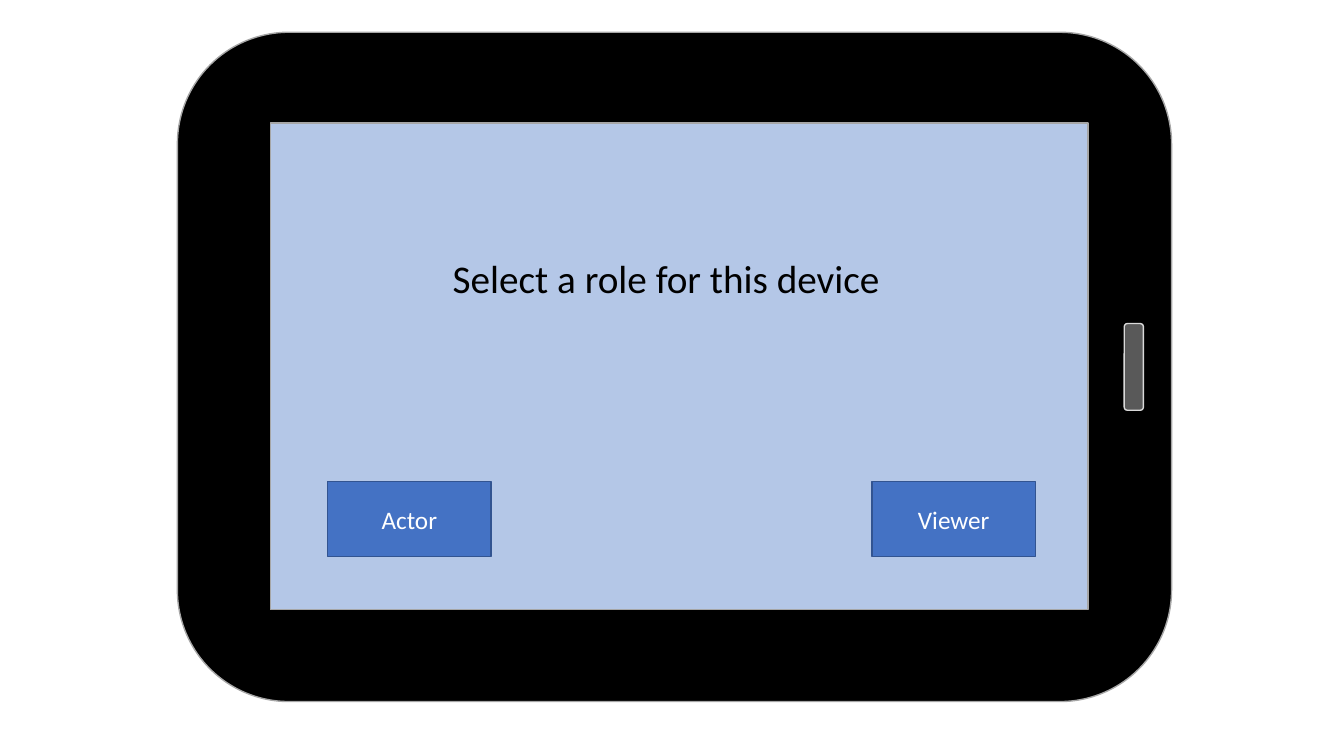
from dataclasses import dataclass

from pptx import Presentation
from pptx import util as u
from pptx.dml.color import RGBColor
from pptx.enum import shapes, text


@dataclass(frozen=True)
class Theme:
    font: str = "Calibri"
    head: int = 28
    label: int = 18
    edge: int = 1
    ink: str = "000000"
    paper: str = "FFFFFF"
    case: str = "000000"
    rim: str = "A6A6A6"
    screen: str = "B4C7E7"
    key: str = "595959"
    key_rim: str = "D9D9D9"
    button: str = "4472C4"
    button_rim: str = "325491"


class Deck:
    """Draws on one slide; boxes are left, top, width, height in percent."""

    def __init__(self, theme):
        self.theme = theme
        self.file = Presentation()
        self.file.slide_width = u.Inches(13.33)
        self.file.slide_height = u.Inches(7.5)
        self.slide = self.file.slides.add_slide(self.file.slide_layouts[5])

    def place(self, box):
        sides = (self.file.slide_width, self.file.slide_height) * 2
        return [round(side * share / 100) for side, share in zip(sides, box)]

    def letter(self, shape, words, size, color, align, anchor):
        frame = shape.text_frame
        frame.text = words
        frame.word_wrap = True
        frame.auto_size = text.MSO_AUTO_SIZE.NONE
        frame.vertical_anchor = anchor
        line = frame.paragraphs[0]
        line.alignment = align
        line.font.name = self.theme.font
        line.font.size = u.Pt(size)
        line.font.color.rgb = RGBColor.from_string(color)

    def panel(self, box, fill, rim, kind=shapes.MSO_SHAPE.RECTANGLE):
        shape = self.slide.shapes.add_shape(kind, *self.place(box))
        shape.shadow.inherit = False
        shape.fill.solid()
        shape.fill.fore_color.rgb = RGBColor.from_string(fill)
        shape.line.color.rgb = RGBColor.from_string(rim)
        shape.line.width = u.Pt(self.theme.edge)
        return shape

    def button(self, box, words):
        shape = self.panel(box, self.theme.button, self.theme.button_rim)
        self.letter(shape, words, self.theme.label, self.theme.paper,
                    text.PP_ALIGN.CENTER, text.MSO_ANCHOR.MIDDLE)

    def title(self, box, words):
        shape = self.slide.shapes.title
        shape.left, shape.top, shape.width, shape.height = self.place(box)
        self.letter(shape, words, self.theme.head, self.theme.ink,
                    text.PP_ALIGN.LEFT, text.MSO_ANCHOR.TOP)
        # Bring the title in front of the tablet
        shape.element.getparent().append(shape.element)


def main():
    theme = Theme()
    deck = Deck(theme)
    rounded = shapes.MSO_SHAPE.ROUNDED_RECTANGLE

    # Tablet: case, screen and home key
    deck.panel((13.2, 4.27, 73.97, 88.53), theme.case, theme.rim, rounded)
    deck.panel((20.11, 16.27, 60.84, 64.4), theme.screen, theme.rim)
    deck.panel((83.65, 42.8, 1.43, 11.47), theme.key, theme.key_rim, rounded)

    # Role buttons
    for left, role in ((24.38, "Actor"), (64.89, "Viewer")):
        deck.button((left, 63.73, 12.15, 9.87), role)

    # Prompt
    deck.title((32.93, 32.93, 36.23, 7.6), "Select a role for this device")

    deck.file.save("out.pptx")


if __name__ == "__main__":
    main()
